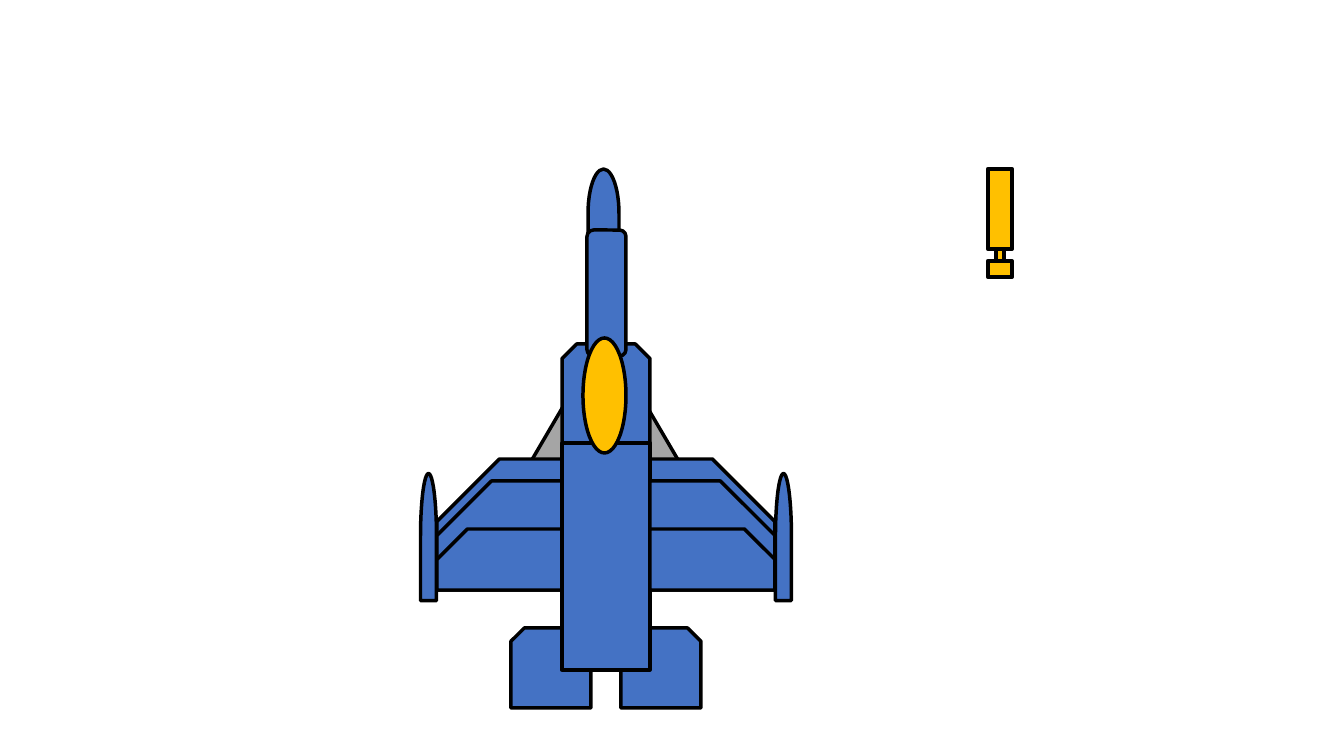
from pptx import Presentation
from pptx import util as u
from pptx.dml.color import RGBColor
from pptx.enum import shapes

BLUE = RGBColor(0x44, 0x72, 0xC4)
GOLD = RGBColor(0xFF, 0xC0, 0x00)
GREY = RGBColor(0xA5, 0xA5, 0xA5)
BLACK = RGBColor(0, 0, 0)
KIND = shapes.MSO_SHAPE

SLIDE = (1344, 756)
PX = 914400 / 100.8
AXIS = 606
WING_LEFT, WING_SPAN, WING_BASE = 650, 125, 590
FUSELAGE_LEFT, FUSELAGE_WIDTH = 562, 88
MISSILE_LEFT, MISSILE_WIDTH = 988, 24

canard = (KIND.ISOSCELES_TRIANGLE, (526, 335, 158, 135), GREY)
nose = (KIND.FLOWCHART_DELAY, (559, 198, 89, 31), BLUE)
tail = (KIND.SNIP_1_RECTANGLE, (621, 628, 80, 80), BLUE)
front = (KIND.SNIP_2_SAME_RECTANGLE, (FUSELAGE_LEFT, 344, FUSELAGE_WIDTH, 99), BLUE)
neck = (KIND.ROUNDED_RECTANGLE, (587, 230, 39, 126), BLUE)
fuselage = (KIND.RECTANGLE, (FUSELAGE_LEFT, 443, FUSELAGE_WIDTH, 227), BLUE)
wingtip = (KIND.FLOWCHART_DELAY, (720, 529, 127, 16), BLUE)
canopy = (KIND.OVAL, (583, 338, 43, 115), GOLD)
missile_pin = (KIND.RECTANGLE, (MISSILE_LEFT + 8, 226, 8, 47), GOLD)
missile_parts = [(169, 80), (261, 16)]
wing_tops = [459, 481, 529]

deck = Presentation()
deck.slide_width, deck.slide_height = [u.Emu(round(side * PX)) for side in SLIDE]
slide = deck.slides.add_slide(deck.slide_layouts[6])


def draw(kind, box, fill, weight=2.5, turn=0, snip=None):
    part = slide.shapes.add_shape(kind, *[u.Emu(round(n * PX)) for n in box])
    part.shadow.inherit = False
    part.fill.solid()
    part.fill.fore_color.rgb = fill
    part.line.color.rgb = BLACK
    part.line.width = u.Pt(weight)
    part.rotation = turn
    if snip is not None:
        part.adjustments[0] = snip
    return part


def draw_pair(kind, box, fill, **style):
    left, top, width, height = box
    draw(kind, box, fill, **style)
    mirrored = draw(kind, (2 * AXIS - left - width, top, width, height), fill, **style)
    mirrored._element.spPr.xfrm.set("flipH", "1")


def draw_wings(tops):
    for top in tops:
        box = (WING_LEFT, top, WING_SPAN, WING_BASE - top)
        draw_pair(KIND.SNIP_1_RECTANGLE, box, BLUE, snip=0.5)


draw(*missile_pin, weight=3)
draw(*canard)
draw(*nose, turn=270)
draw_pair(*tail)
draw(*front)
draw(*neck)
draw_wings(wing_tops[:1])
draw(*fuselage)
draw_wings(wing_tops[1:])
for side_left in (wingtip[1][0], 2 * AXIS - wingtip[1][0] - wingtip[1][2]):
    draw(wingtip[0], (side_left, *wingtip[1][1:]), wingtip[2], turn=270)
draw(*canopy)
for top, height in missile_parts:
    draw(KIND.RECTANGLE, (MISSILE_LEFT, top, MISSILE_WIDTH, height), GOLD, weight=3)

deck.save("out.pptx")
